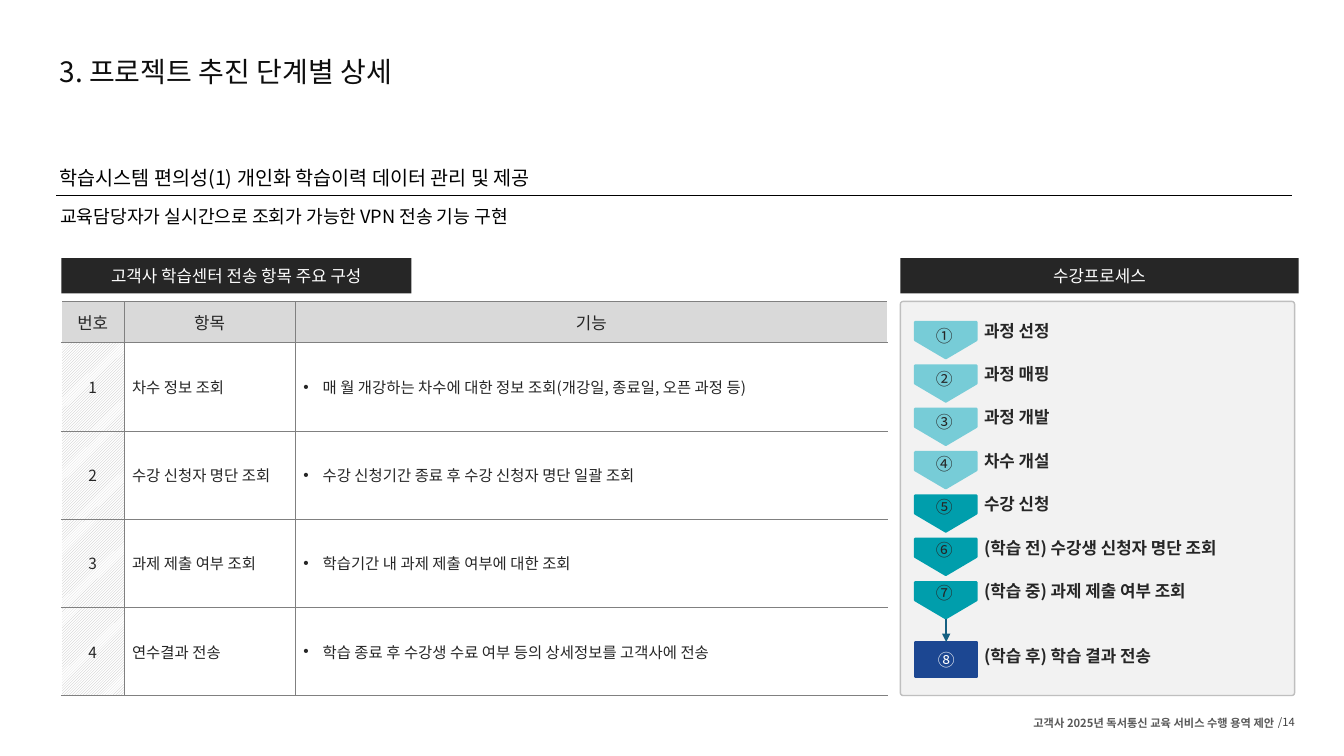
from lxml.etree import SubElement
from pptx import Presentation
from pptx.dml.color import RGBColor
from pptx.enum.dml import MSO_PATTERN
from pptx.enum.shapes import MSO_CONNECTOR, MSO_SHAPE
from pptx.enum.text import MSO_ANCHOR, PP_ALIGN
from pptx.oxml import parse_xml
from pptx.oxml.ns import nsdecls, qn
from pptx.util import Inches, Pt

FONT = "Noto Sans CJK KR"
BLACK = RGBColor(0x00, 0x00, 0x00)
TITLE = RGBColor(0x0D, 0x0D, 0x0D)
INK = RGBColor(0x26, 0x26, 0x26)
PAGE = RGBColor(0x40, 0x40, 0x40)
FOOT = RGBColor(0x59, 0x59, 0x59)
WHITE = RGBColor(0xFF, 0xFF, 0xFF)
HEAD = RGBColor(0xD9, 0xD9, 0xD9)
PANEL = RGBColor(0xF2, 0xF2, 0xF2)
EDGE = RGBColor(0xBF, 0xBF, 0xBF)
GRID = RGBColor(0x80, 0x80, 0x80)
LIGHT = RGBColor(0x77, 0xCC, 0xD7)
TEAL = RGBColor(0x00, 0x9E, 0xAC)
NAVY = RGBColor(0x1C, 0x47, 0x92)
ARROW = RGBColor(0x15, 0x60, 0x82)

LEFT, CENTER, RIGHT = PP_ALIGN.LEFT, PP_ALIGN.CENTER, PP_ALIGN.RIGHT

ITEMS = [
    ("차수 정보 조회", "매 월 개강하는 차수에 대한 정보 조회(개강일, 종료일, 오픈 과정 등)"),
    ("수강 신청자 명단 조회", "수강 신청기간 종료 후 수강 신청자 명단 일괄 조회"),
    ("과제 제출 여부 조회", "학습기간 내 과제 제출 여부에 대한 조회"),
    ("연수결과 전송", "학습 종료 후 수강생 수료 여부 등의 상세정보를 고객사에 전송"),
]
STEPS = [
    ("①", "과정 선정", 1.2, LIGHT),
    ("②", "과정 매핑", 1.2, LIGHT),
    ("③", "과정 개발", 1.2, LIGHT),
    ("④", "차수 개설", 1.2, LIGHT),
    ("⑤", "수강 신청", 1.2, TEAL),
    ("⑥", "(학습 전) 수강생 신청자 명단 조회", 2.55, TEAL),
    ("⑦", "(학습 중) 과제 제출 여부 조회", 2.2, TEAL),
]


def write(frame, text, size, color, align=LEFT, bold=False, space=None):
    """Fill a text frame with one styled paragraph and return it."""
    frame.text = text
    para = frame.paragraphs[0]
    para.alignment = align
    if space:
        para.line_spacing = space
    for run in para.runs:
        font = run.font
        font.size, font.bold, font.name = Pt(size), bold, FONT
        font.color.rgb = color
        SubElement(run._r.get_or_add_rPr(), qn("a:ea")).set("typeface", FONT)
    return para


def label(slide, box, text, size, color, align=LEFT, bold=False,
          space=None, anchor=MSO_ANCHOR.MIDDLE, inset=0.1):
    """Place a text box."""
    frame = slide.shapes.add_textbox(*map(Inches, box)).text_frame
    frame.word_wrap = True
    frame.vertical_anchor = anchor
    frame.margin_left = Inches(inset)
    write(frame, text, size, color, align, bold, space)


def block(slide, kind, box, fill, line=None, width=1.5):
    """Place a filled shape."""
    shape = slide.shapes.add_shape(kind, *map(Inches, box))
    shape.shadow.inherit = False
    shape.fill.solid()
    shape.fill.fore_color.rgb = fill
    if line is None:
        shape.line.fill.background()
    else:
        shape.line.color.rgb = line
        shape.line.width = Pt(width)
    return shape


def link(slide, start, end, color, width):
    """Draw a straight line without a shadow."""
    line = slide.shapes.add_connector(
        MSO_CONNECTOR.STRAIGHT, *map(Inches, start + end))
    line.line.color.rgb = color
    line.line.width = Pt(width)
    SubElement(line._element.spPr, qn("a:effectLst"))
    return line


def banner(slide, box, text):
    """Place a dark heading bar."""
    bar = block(slide, MSO_SHAPE.RECTANGLE, box, INK)
    bar.text_frame.vertical_anchor = MSO_ANCHOR.MIDDLE
    write(bar.text_frame, text, 12, WHITE, CENTER)


def border(cell, sides):
    """Draw thin grey lines on the given sides of a cell."""
    props = cell._tc.get_or_add_tcPr()
    for spot, side in enumerate(sides):
        props.insert(spot, parse_xml(
            f'<a:ln{side} {nsdecls("a")} w="6350"><a:solidFill>'
            f'<a:srgbClr val="{GRID}"/></a:solidFill></a:ln{side}>'))


def bullet(para):
    """Give a paragraph a hanging bullet."""
    props = para._p.get_or_add_pPr()
    props.set("marL", str(Inches(0.19)))
    props.set("indent", str(-Inches(0.19)))
    SubElement(props, qn("a:buFont")).set("typeface", "Arial")
    SubElement(props, qn("a:buChar")).set("char", "•")


def header(slide, x, y, w):
    """Place the title, the subtitle with its rule and the lead line."""
    label(slide, (x - 0.01, y, 10.02, 0.47), "3. 프로젝트 추진 단계별 상세",
          20, TITLE, inset=0.04)
    top = MSO_ANCHOR.TOP
    label(slide, (x - 0.07, y + 1.13, 7, 0.34),
          "학습시스템 편의성(1) 개인화 학습이력 데이터 관리 및 제공",
          14, BLACK, anchor=top)
    label(slide, (x - 0.06, y + 1.47, 7, 0.35),
          "교육담당자가 실시간으로 조회가 가능한 VPN 전송 기능 구현",
          13, BLACK, space=1.2, anchor=top)
    link(slide, (x, y + 1.47), (x + w, y + 1.47), BLACK, 0.25)


def listing(slide, x, y, w, h):
    """Place the heading bar and the table of transfer items."""
    banner(slide, (x, y, 3.47, 0.35), "고객사 학습센터 전송 항목 주요 구성")
    rows = [("번호", "항목", "기능")]
    rows += [(str(n), *item) for n, item in enumerate(ITEMS, 1)]
    box = (x, y + 0.43, w, h - 0.43)
    table = slide.shapes.add_table(len(rows), 3, *map(Inches, box)).table
    table.first_row = table.horz_banding = False
    for col, width in zip(table.columns, (0.62, 1.7, w - 2.32)):
        col.width = Inches(width)
    for r, row in enumerate(rows):
        tall = (h - 0.84) / len(ITEMS) if r else 0.41
        table.rows[r].height = Inches(tall)
        for c, text in enumerate(row):
            cell = table.cell(r, c)
            mid = r == 0 or c == 0
            cell.vertical_anchor = MSO_ANCHOR.MIDDLE
            cell.margin_left = Inches(0.04 if mid else 0.08)
            cell.margin_right = cell.margin_top = Inches(0.04)
            cell.margin_bottom = Inches(0.04)
            para = write(cell.text_frame, text, 11 if r else 12, INK,
                         CENTER if mid else LEFT)
            if r == 0:
                cell.fill.solid()
                cell.fill.fore_color.rgb = HEAD
            elif c == 0:
                cell.fill.patterned()
                cell.fill.pattern = MSO_PATTERN.LIGHT_UPWARD_DIAGONAL
                cell.fill.fore_color.rgb = EDGE
                cell.fill.back_color.rgb = WHITE
            else:
                cell.fill.background()
            if r and c == 2:
                bullet(para)
            border(cell, ("RTB", "LRTB", "LTB")[c])


def process(slide, x, y, w, h):
    """Place the heading bar and the panel of course steps."""
    banner(slide, (x, y, w, 0.35), "수강프로세스")
    panel = block(slide, MSO_SHAPE.ROUNDED_RECTANGLE,
                  (x, y + 0.43, w - 0.04, h - 0.43), PANEL, EDGE, 1)
    panel.adjustments[0] = 0.007
    last = block(slide, MSO_SHAPE.RECTANGLE,
                 (x + 0.15, y + 3.81, 0.61, 0.35), NAVY, NAVY)
    last.text_frame.vertical_anchor = MSO_ANCHOR.MIDDLE
    write(last.text_frame, "⑧", 12, WHITE, CENTER)
    label(slide, (x + 0.75, y + 3.83, 1.85, 0.27), "(학습 후) 학습 결과 전송",
          12, INK, bold=True, space=0.8, inset=0.08)
    for n, (mark, text, width, color) in enumerate(STEPS):
        top = y + 0.43 * n
        plate = block(slide, MSO_SHAPE.PENTAGON,
                      (x + 0.27, top + 0.51, 0.36, 0.61), color, color)
        plate.rotation = 90
        label(slide, (x + 0.25, y + 0.62 + 0.425 * n, 0.37, 0.3),
              mark, 12, INK, CENTER)
        label(slide, (x + 0.75, top + 0.57, width, 0.3), text,
              12, INK, bold=True, inset=0.08)
    mid = x + 0.455
    arrow = link(slide, (mid, y + 3.58), (mid, y + 3.81), ARROW, 1.5)
    arrow.end_connect(last, 0)
    SubElement(arrow.line._get_or_add_ln(), qn("a:tailEnd")).set("type", "triangle")


def footer(slide, x, y, w):
    """Place the document name and page number."""
    label(slide, (x, y, w - 0.2, 0.24), "고객사 2025년 독서통신 교육 서비스 수행 용역 제안",
          8, FOOT, RIGHT, True)
    label(slide, (x + w - 0.49, y - 0.01, 0.49, 0.25), "/14", 8, PAGE, RIGHT)


def main():
    """Build and save the slide."""
    deck = Presentation()
    deck.slide_width, deck.slide_height = Inches(13.33), Inches(7.5)
    slide = deck.slides.add_slide(deck.slide_layouts[6])
    footer(slide, 9.04, 7.05, 3.9)
    header(slide, 0.56, 0.47, 12.25)
    listing(slide, 0.61, 2.56, 8.19, 4.34)
    process(slide, 8.93, 2.56, 3.95, 4.34)
    deck.save("out.pptx")


if __name__ == "__main__":
    main()
